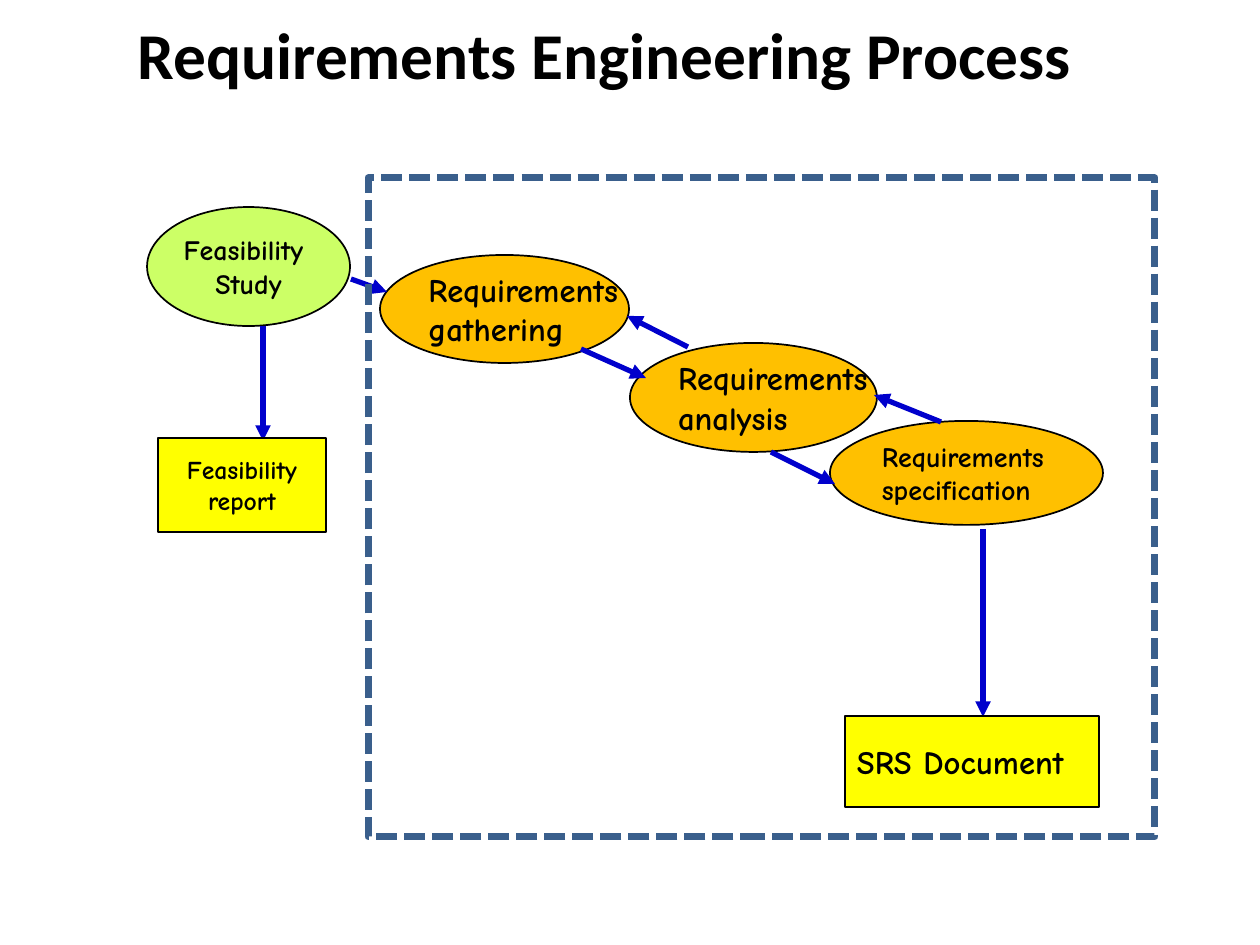
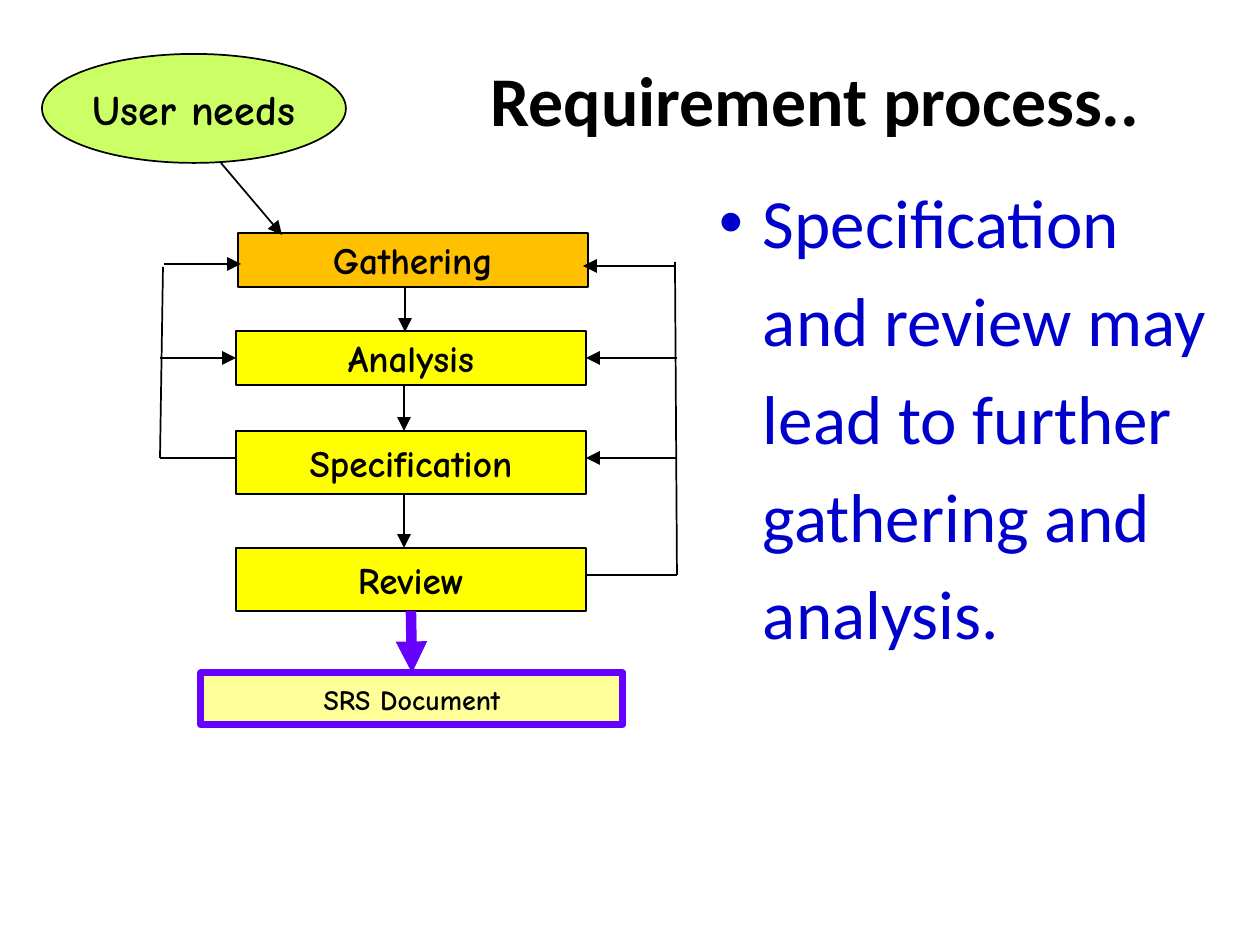
"""Build two slides on the requirements engineering process."""
import dataclasses
import typing

import lxml.etree
import pptx
import pptx.dml.color
import pptx.enum.dml
import pptx.enum.shapes
import pptx.enum.text
import pptx.oxml.ns
import pptx.slide
import pptx.util

SCALE = 914400 / 168
BLACK, BLUE, PURPLE = "000000", "0000CC", "6600FF"
LIME, AMBER, YELLOW, CREAM = "CCFF66", "FFC000", "FFFF00", "FFFF99"
HEAD, HAND = "Calibri", "Comic Neue"
OVAL = pptx.enum.shapes.MSO_SHAPE.OVAL
RECT = pptx.enum.shapes.MSO_SHAPE.RECTANGLE
LEFT, MID = pptx.enum.text.PP_ALIGN.LEFT, pptx.enum.text.PP_ALIGN.CENTER
TOP, CORE = pptx.enum.text.MSO_ANCHOR.TOP, pptx.enum.text.MSO_ANCHOR.MIDDLE
Area = tuple[int, int, int, int]
Point = tuple[int, int]


@dataclasses.dataclass
class Box:
    text: str
    area: Area
    fill: str | None = YELLOW
    size: int = 16
    form: typing.Any = RECT
    align: typing.Any = MID
    edge: str = BLACK
    width: float = 0.75
    dash: bool = False


@dataclasses.dataclass
class Link:
    start: Point
    end: Point
    color: str = BLACK
    width: float = 0.75
    head: bool = True
    begin: tuple[str, int] | None = None
    goal: tuple[str, int] | None = None


def px(count: int) -> pptx.util.Emu:
    return pptx.util.Emu(round(count * SCALE))


def ink(code: str) -> pptx.dml.color.RGBColor:
    return pptx.dml.color.RGBColor.from_string(code)


def add_xml(host: typing.Any, tag: str, **attrs: str) -> None:
    node = lxml.etree.SubElement(host, pptx.oxml.ns.qn(tag))
    for key, value in attrs.items():
        node.set(key, value)


def write(shape: typing.Any, text: str, font: str, size: float, color: str = BLACK,
          bold: bool = True, align: typing.Any = MID, anchor: typing.Any = CORE,
          wrap: bool = True) -> None:
    frame = shape.text_frame
    frame.word_wrap = wrap
    frame.vertical_anchor = anchor
    frame.margin_left = frame.margin_right = px(12)
    frame.margin_top = frame.margin_bottom = px(7)
    for index, line in enumerate(text.split("\n")):
        par = frame.add_paragraph() if index else frame.paragraphs[0]
        par.alignment = align
        run = par.add_run()
        run.text = line
        run.font.name = font
        run.font.size = pptx.util.Pt(size)
        run.font.bold = bold
        run.font.color.rgb = ink(color)


def add_title(slide: pptx.slide.Slide, text: str, area: Area, size: float,
              align: typing.Any, anchor: typing.Any) -> None:
    shape = slide.shapes.add_textbox(*map(px, area))
    write(shape, text, HEAD, size, align=align, anchor=anchor)


def add_point(slide: pptx.slide.Slide, text: str, area: Area) -> None:
    shape = slide.shapes.add_textbox(*map(px, area))
    write(shape, text, HEAD, 29.6, BLUE, False, LEFT, TOP)
    par = shape.text_frame.paragraphs[0]
    par.line_spacing = 1.18
    par.space_before, par.space_after = pptx.util.Pt(8.2), pptx.util.Pt(12.2)
    props = par._p.get_or_add_pPr()
    props.set("marL", str(px(52)))
    props.set("indent", str(px(-44)))
    add_xml(props, "a:buFont", typeface="Arial")
    add_xml(props, "a:buChar", char="•")


def add_box(slide: pptx.slide.Slide, box: Box) -> typing.Any:
    shape = slide.shapes.add_shape(box.form, *map(px, box.area))
    shape.shadow.inherit = False
    if box.fill:
        shape.fill.solid()
        shape.fill.fore_color.rgb = ink(box.fill)
    else:
        shape.fill.background()
    shape.line.color.rgb = ink(box.edge)
    shape.line.width = pptx.util.Pt(box.width)
    if box.dash:
        shape.line.dash_style = pptx.enum.dml.MSO_LINE.SQUARE_DOT
    if box.text:
        write(shape, box.text, HAND, box.size, align=box.align, wrap=False)
    return shape


def add_link(slide: pptx.slide.Slide, link: Link, made: dict[str, typing.Any]) -> None:
    kind = pptx.enum.shapes.MSO_CONNECTOR.STRAIGHT
    line = slide.shapes.add_connector(kind, *map(px, link.start + link.end))
    line.line.color.rgb = ink(link.color)
    line.line.width = pptx.util.Pt(link.width)
    props = line.element.spPr
    if link.head:
        add_xml(props.find(pptx.oxml.ns.qn("a:ln")), "a:tailEnd", type="triangle")
    add_xml(props, "a:effectLst")
    if link.begin:
        line.begin_connect(made[link.begin[0]], link.begin[1])
    if link.goal:
        line.end_connect(made[link.goal[0]], link.goal[1])


def draw(slide: pptx.slide.Slide, items: list[Box | Link]) -> None:
    made: dict[str, typing.Any] = {}
    for item in items:
        if isinstance(item, Box):
            made[item.text] = add_box(slide, item)
        else:
            add_link(slide, item, made)


def add_process(slide: pptx.slide.Slide) -> None:
    add_title(slide, "Requirements Engineering Process", (126, 25, 1105, 57), 28, LEFT, CORE)
    paths = [
        ((351, 279), (387, 292)), ((581, 349), (646, 378)),
        ((688, 347), (627, 316)), ((771, 452), (835, 484)),
        ((941, 422), (874, 395)), ((263, 326), (263, 441)),
        ((983, 529), (983, 717)),
    ]
    draw(slide, [
        Box("Feasibility \nStudy", (147, 207, 203, 119), LIME, 12, OVAL),
        Box("Requirements\ngathering", (380, 255, 249, 108), AMBER, 14, OVAL, LEFT),
        Box("Requirements\nanalysis", (630, 343, 247, 109), AMBER, 14, OVAL, LEFT),
        Box("Requirements\nspecification", (830, 421, 273, 104), AMBER, 12, OVAL, LEFT),
        *[Link(start, end, BLUE, 2.25) for start, end in paths],
        Box("Feasibility\nreport", (158, 438, 168, 94), size=11),
        Box("SRS Document", (845, 716, 254, 91), size=14, align=LEFT),
        Box("", (368, 178, 787, 659), None, edge="3A5F8C", width=3, dash=True),
    ])


def add_loop(slide: pptx.slide.Slide) -> None:
    add_title(slide, "Requirement process..", (412, 50, 806, 156), 29.9, MID, TOP)
    add_point(slide, "Specification and review may lead to further gathering and analysis.",
              (699, 158, 541, 596))
    draw(slide, [
        Box("User needs", (42, 54, 304, 109), LIME, 18, OVAL),
        Box("Gathering", (238, 233, 350, 54), AMBER),
        Box("Analysis", (236, 331, 350, 54)),
        Box("Specification", (236, 431, 350, 63)),
        Box("Review", (236, 548, 350, 63)),
        Box("SRS Document", (201, 673, 422, 52), CREAM, 12, edge=PURPLE, width=3),
        Link((221, 163), (282, 235)),
        Link((405, 287), (405, 332)),
        Link((404, 386), (404, 431)),
        Link((404, 494), (404, 548)),
        Link((236, 458), (160, 458), head=False),
        Link((160, 458), (163, 267), head=False),
        Link((164, 264), (241, 264)),
        Link((160, 358), (236, 358), goal=("Analysis", 1)),
        Link((586, 575), (677, 575), head=False),
        Link((677, 575), (675, 262), head=False),
        Link((674, 266), (583, 266)),
        Link((677, 358), (586, 358), goal=("Analysis", 3)),
        Link((677, 458), (586, 458)),
        Link((411, 611), (412, 673), PURPLE, 4.5,
             begin=("Review", 2), goal=("SRS Document", 0)),
    ])


def main() -> None:
    deck = pptx.Presentation()
    deck.slide_width, deck.slide_height = px(1260), px(945)
    for build in (add_process, add_loop):
        build(deck.slides.add_slide(deck.slide_layouts[6]))
    deck.save("out.pptx")


if __name__ == "__main__":
    main()
